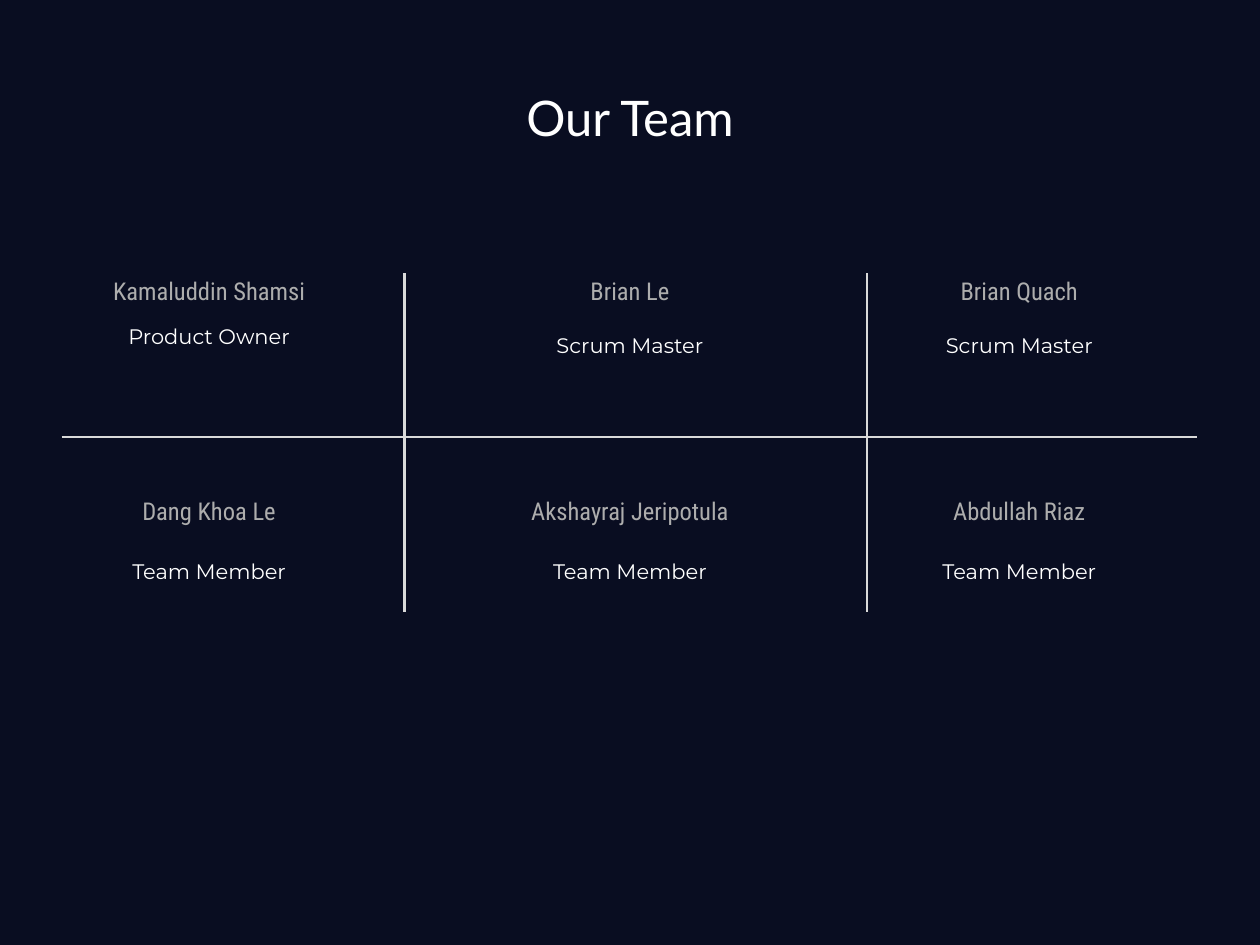
from pptx import Presentation
from pptx.dml.color import RGBColor
from pptx.enum.shapes import MSO_CONNECTOR
from pptx.enum.text import MSO_ANCHOR, PP_ALIGN
from pptx.oxml.ns import qn
from pptx.util import Inches, Pt

STRAIGHT = MSO_CONNECTOR.STRAIGHT
CENTER = PP_ALIGN.CENTER
TOP, MIDDLE = MSO_ANCHOR.TOP, MSO_ANCHOR.MIDDLE

THEME = {
    "background": RGBColor(0x09, 0x0D, 0x21),
    "divider": {"color": RGBColor(0xD9, 0xD9, 0xD9), "width": Pt(1.5)},
    "title": {"name": "Lato", "size": Pt(28), "color": RGBColor(0xFF, 0xFF, 0xFF)},
    "name": {"name": "Roboto Condensed", "size": Pt(14), "color": RGBColor(0xAD, 0xAD, 0xAD)},
    "role": {"name": "Montserrat", "size": Pt(12), "color": RGBColor(0xFF, 0xFF, 0xFF)},
}

# Grid in inches: column centres, and the top of the name in each row
COLUMN_CENTERS = (1.66, 5.0, 8.09)
ROW_TOPS = (2.09, 3.84)
NAME_WIDTH, ROLE_WIDTH, LABEL_HEIGHT = 2.4, 1.61, 0.46

# Each member: name, role, distance from the top of the name to the role
TEAM = (
    (("Kamaluddin Shamsi", "Product Owner", 0.38),
     ("Brian Le", "Scrum Master", 0.45),
     ("Brian Quach", "Scrum Master", 0.45)),
    (("Dang Khoa Le", "Team Member", 0.49),
     ("Akshayraj Jeripotula", "Team Member", 0.49),
     ("Abdullah Riaz", "Team Member", 0.49)),
)

DIVIDERS = (
    (3.21, 2.17, 3.21, 4.86),
    (6.88, 2.17, 6.88, 4.86),
    (0.49, 3.47, 9.5, 3.47),
)


def add_label(slide, text, style, center, top, width, height, anchor=TOP):
    """Add one centred line of text around a column centre, in inches."""
    shape = slide.shapes.add_textbox(
        Inches(center - width / 2), Inches(top), Inches(width), Inches(height))
    frame = shape.text_frame
    frame_format = {
        "word_wrap": True, "vertical_anchor": anchor,
        "margin_left": Inches(0.1), "margin_right": Inches(0.1),
        "margin_top": Inches(0.1), "margin_bottom": Inches(0.1),
    }
    for attribute, value in frame_format.items():
        setattr(frame, attribute, value)
    paragraph = frame.paragraphs[0]
    paragraph.alignment = CENTER
    run = paragraph.add_run()
    run.text = text
    for attribute in ("name", "size"):
        setattr(run.font, attribute, THEME[style][attribute])
    run.font.color.rgb = THEME[style]["color"]


presentation = Presentation()
presentation.slide_width = Inches(10)
presentation.slide_height = Inches(7.5)
slide = presentation.slides.add_slide(presentation.slide_layouts[6])
slide.background.fill.solid()
slide.background.fill.fore_color.rgb = THEME["background"]

add_label(slide, "Our Team", "title", 5, 0.3, 9, 1.25, MIDDLE)

for divider in DIVIDERS:
    connector = slide.shapes.add_connector(STRAIGHT, *map(Inches, divider))
    connector.line.color.rgb = THEME["divider"]["color"]
    connector.line.width = THEME["divider"]["width"]
    properties = connector._element.spPr
    properties.append(properties.makeelement(qn("a:effectLst"), {}))

for row_top, members in zip(ROW_TOPS, TEAM):
    for center, (name, role, role_offset) in zip(COLUMN_CENTERS, members):
        add_label(slide, name, "name", center, row_top, NAME_WIDTH, LABEL_HEIGHT)
        add_label(slide, role, "role", center, row_top + role_offset, ROLE_WIDTH, LABEL_HEIGHT)

presentation.save("out.pptx")
